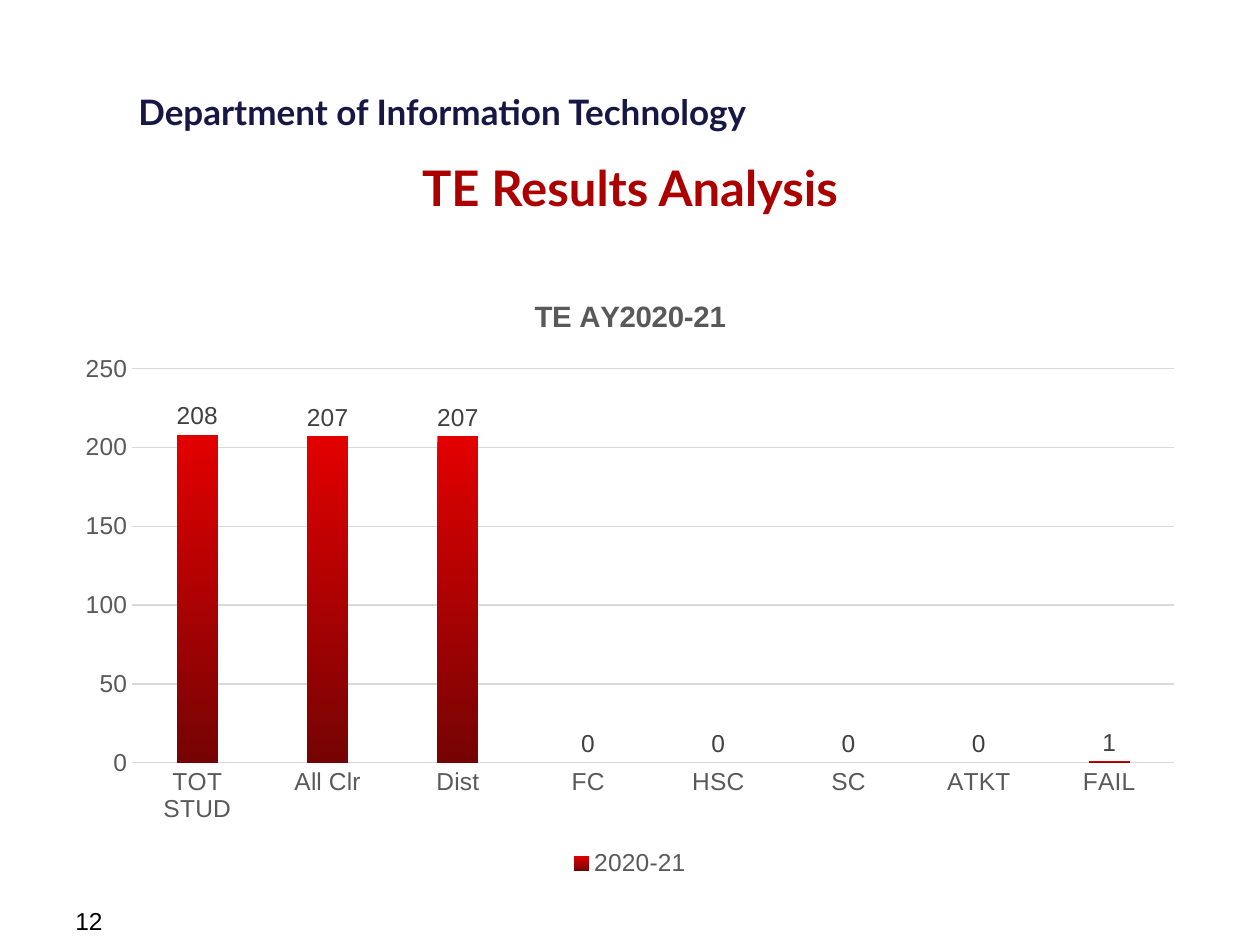
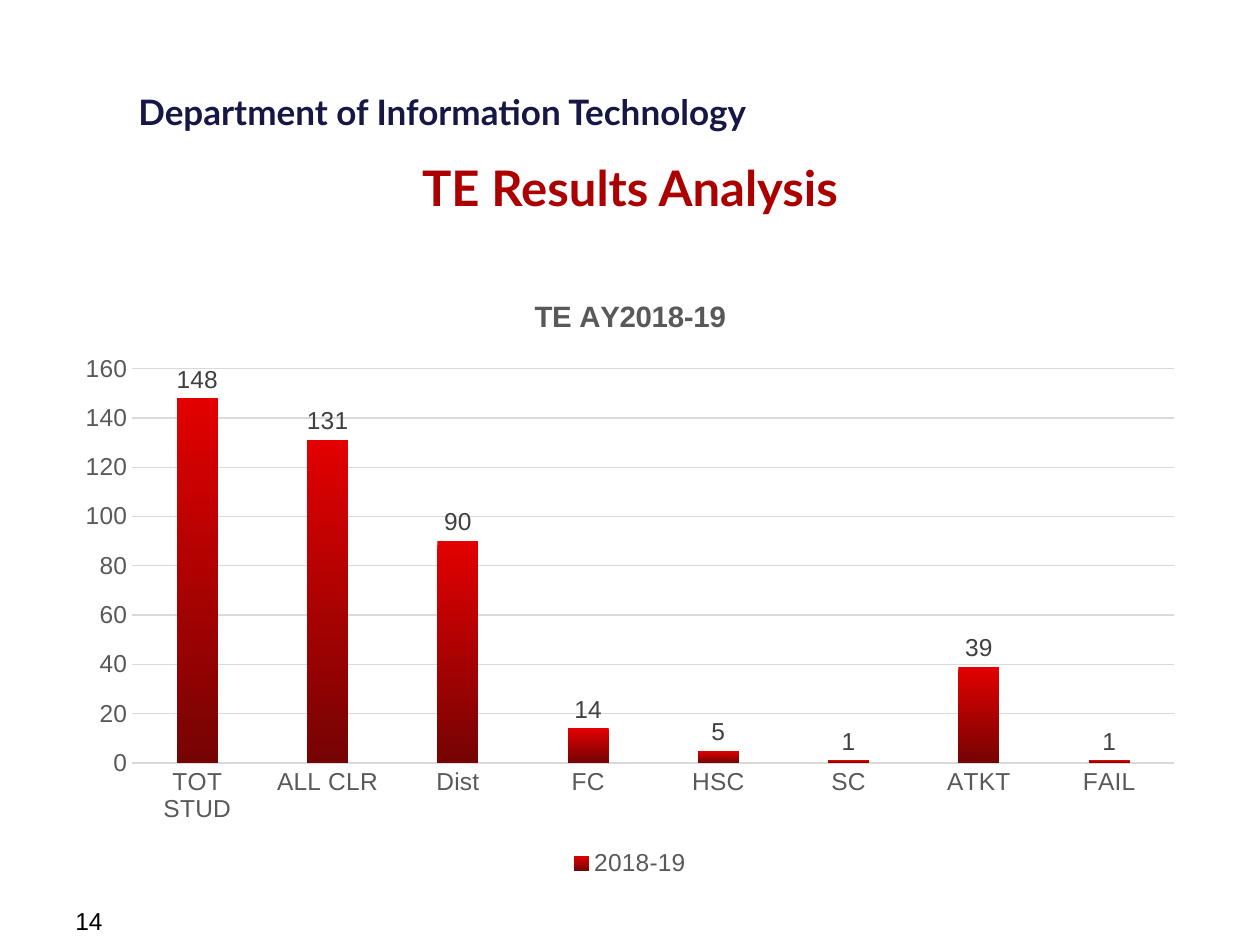
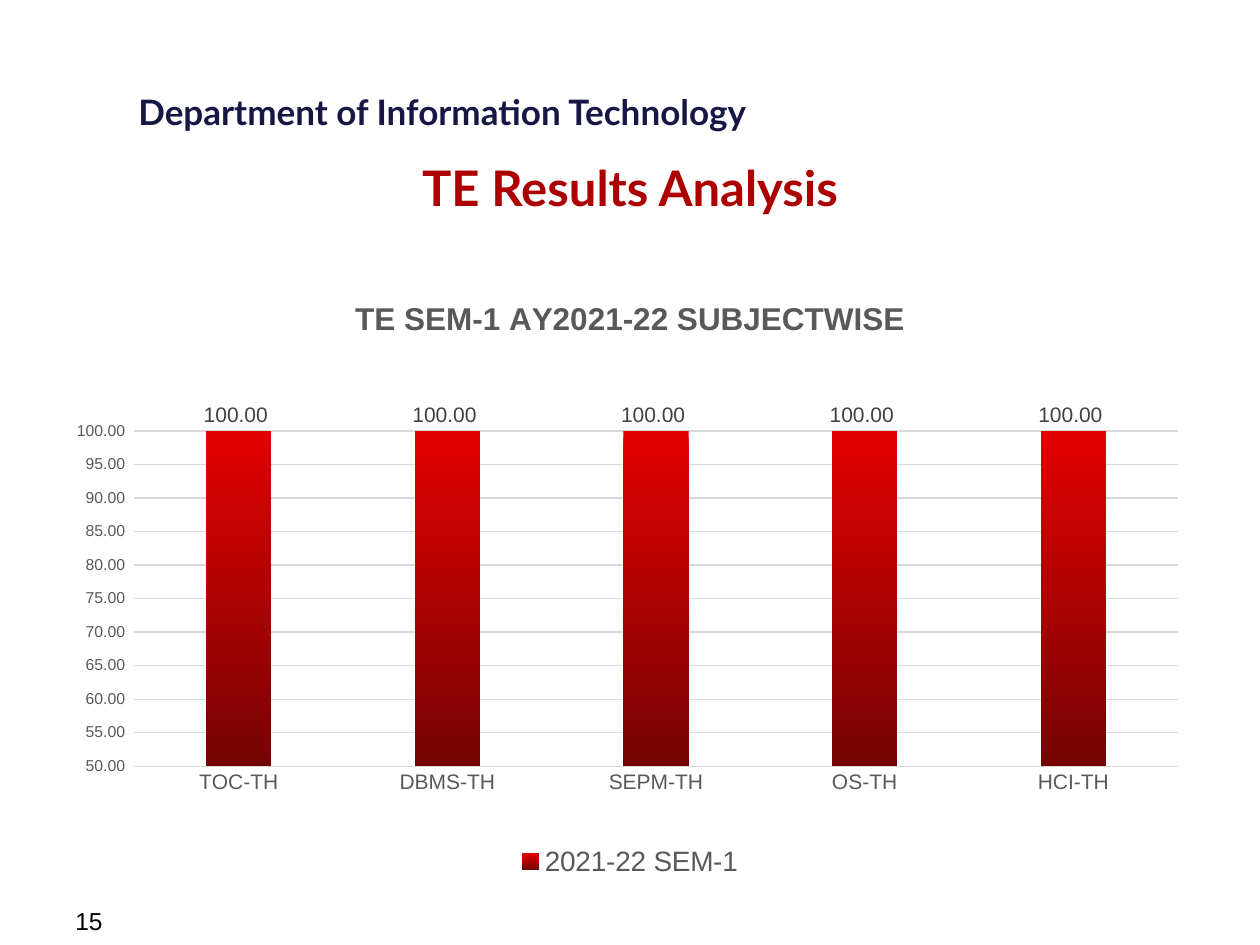
from dataclasses import dataclass

from lxml.etree import SubElement
from pptx import Presentation
from pptx.chart.data import CategoryChartData
from pptx.dml.color import RGBColor
from pptx.enum.chart import XL_CHART_TYPE, XL_LABEL_POSITION, XL_LEGEND_POSITION, XL_TICK_MARK
from pptx.enum.text import MSO_ANCHOR, MSO_AUTO_SIZE, PP_ALIGN
from pptx.oxml.ns import qn
from pptx.util import Cm, Pt


@dataclass(frozen=True)
class Theme:
    heading_font: str = "Lato"
    body_font: str = "Arial"
    department: str = "171745"
    title: str = "AC0000"
    text: str = "000000"
    axis: str = "595959"
    label: str = "404040"
    grid: str = "D9D9D9"
    bar_top: str = "E30000"
    bar_bottom: str = "760303"
    department_size: float = 20
    title_size: float = 28
    number_size: float = 14
    line_width: float = 0.75


@dataclass(frozen=True)
class Box:
    left: float
    top: float
    width: float
    height: float

    def lengths(self):
        return Cm(self.left), Cm(self.top), Cm(self.width), Cm(self.height)


@dataclass(frozen=True)
class ChartStyle:
    title: float = 16.8
    category: float = 14
    value: float = 14
    label: float = 14
    legend: float = 14
    number_format: str = "General"
    scale: tuple = None  # minimum, maximum, major unit
    plot: tuple = None  # x, y, w, h as fractions of the chart


THEME = Theme()
DEPARTMENT_BOX = Box(2.54, 1.7, 13.59, 1.12)
TITLE_BOX = Box(1.27, 3.05, 22.86, 1.22)
CHART_BOX = Box(1.27, 5.51, 22.86, 12.27)
NUMBER_BOX = Box(1.27, 18.14, 5.92, 0.69)

YEAR = ChartStyle()
SUBJECT = ChartStyle(title=18, category=12, value=9, label=12, legend=16,
                     number_format="0.00_ ", scale=(50, 100, 5),
                     plot=(0.063, 0.259, 0.92, 0.551))
GRADES = ["Dist", "FC", "HSC", "SC", "ATKT", "FAIL"]

# Page number, chart title, series name, categories, values, style
RESULTS = [
    (12, "TE AY2020-21", "2020-21", ["TOT STUD", "All Clr"] + GRADES,
     [208, 207, 207, 0, 0, 0, 0, 1], YEAR),
    (14, "TE AY2018-19", "2018-19", ["TOT STUD", "ALL CLR"] + GRADES,
     [148, 131, 90, 14, 5, 1, 39, 1], YEAR),
    (15, "TE SEM-1 AY2021-22 SUBJECTWISE", "2021-22 SEM-1",
     ["TOC-TH", "DBMS-TH", "SEPM-TH", "OS-TH", "HCI-TH"], [100] * 5, SUBJECT),
]


def style_font(font, name, size, color, bold=False):
    font.name = name
    font.size = Pt(size)
    font.bold = bold
    font.color.rgb = RGBColor.from_string(color)


def style_line(line, color):
    line.color.rgb = RGBColor.from_string(color)
    line.width = Pt(THEME.line_width)


def add_run(p, text, *font_style):
    r = p.add_run()
    r.text = text
    style_font(r.font, *font_style)


def add_department(s, box):
    tf = s.shapes.add_textbox(*box.lengths()).text_frame
    tf.word_wrap = False
    tf.auto_size = MSO_AUTO_SIZE.SHAPE_TO_FIT_TEXT
    add_run(tf.paragraphs[0], "Department of Information Technology",
            THEME.heading_font, THEME.department_size, THEME.department, True)


def set_title(s, box, text):
    sp = s.shapes.title
    sp.left, sp.top, sp.width, sp.height = box.lengths()
    tf = sp.text_frame
    tf.auto_size = MSO_AUTO_SIZE.NONE
    tf.vertical_anchor = MSO_ANCHOR.TOP
    p = tf.paragraphs[0]
    p.alignment = PP_ALIGN.CENTER
    add_run(p, text, THEME.heading_font, THEME.title_size, THEME.title, True)


def add_page_number(s, box, number):
    tf = s.shapes.add_textbox(*box.lengths()).text_frame
    tf.word_wrap = True
    add_run(tf.paragraphs[0], str(number), THEME.body_font, THEME.number_size, THEME.text)


def set_plot_layout(chart, fractions):
    plot_area = chart.plots[0]._element.getparent()
    layout = plot_area.find(qn("c:layout"))
    if layout is None:
        layout = SubElement(plot_area, qn("c:layout"))
        plot_area.insert(0, layout)
    manual = SubElement(layout, qn("c:manualLayout"))
    settings = [("layoutTarget", "inner"), ("xMode", "edge"), ("yMode", "edge")]
    for tag, value in settings + list(zip("xywh", fractions)):
        SubElement(manual, qn(f"c:{tag}")).set("val", str(value))


def style_axes(chart, style):
    category, value = chart.category_axis, chart.value_axis
    for axis, size in ((category, style.category), (value, style.value)):
        axis.major_tick_mark = axis.minor_tick_mark = XL_TICK_MARK.NONE
        style_font(axis.tick_labels.font, THEME.body_font, size, THEME.axis)
    style_line(category.format.line, THEME.grid)
    value.format.line.fill.background()
    value.has_major_gridlines = True
    style_line(value.major_gridlines.format.line, THEME.grid)
    value.tick_labels.number_format = style.number_format
    value.tick_labels.number_format_is_linked = False
    if style.scale:
        value.minimum_scale, value.maximum_scale, value.major_unit = style.scale


def style_bars(plot, style):
    plot.vary_by_categories = False
    plot.gap_width = 219
    plot.overlap = -27
    fill = plot.series[0].format.fill
    fill.gradient()
    fill.gradient_angle = 270
    for stop, color in zip(fill.gradient_stops, (THEME.bar_top, THEME.bar_bottom)):
        stop.color.rgb = RGBColor.from_string(color)

    labels = plot.series[0].data_labels
    labels.show_value = True
    labels.position = XL_LABEL_POSITION.OUTSIDE_END
    labels.number_format = style.number_format
    labels.number_format_is_linked = False
    style_font(labels.font, THEME.body_font, style.label, THEME.label)


def add_results_chart(s, box, title, series, categories, values, style):
    data = CategoryChartData(number_format=style.number_format)
    data.categories = categories
    data.add_series(series, values)
    chart = s.shapes.add_chart(XL_CHART_TYPE.COLUMN_CLUSTERED, *box.lengths(), data).chart
    style_font(chart.font, THEME.body_font, style.label, THEME.text)

    # Title and legend
    chart.has_title = True
    chart.chart_title.include_in_layout = False
    add_run(chart.chart_title.text_frame.paragraphs[0], title,
            THEME.body_font, style.title, THEME.axis, True)
    chart.has_legend = True
    chart.legend.position = XL_LEGEND_POSITION.BOTTOM
    chart.legend.include_in_layout = False
    style_font(chart.legend.font, THEME.body_font, style.legend, THEME.axis)

    # Plot
    style_axes(chart, style)
    style_bars(chart.plots[0], style)
    if style.plot:
        set_plot_layout(chart, style.plot)


def add_results_slide(prs, number, *chart_parts):
    s = prs.slides.add_slide(prs.slide_layouts[5])
    add_department(s, DEPARTMENT_BOX)
    set_title(s, TITLE_BOX, "TE Results Analysis")
    add_page_number(s, NUMBER_BOX, number)
    add_results_chart(s, CHART_BOX, *chart_parts)


def main():
    prs = Presentation()
    prs.slide_width, prs.slide_height = Cm(25.4), Cm(19.05)
    for result in RESULTS:
        add_results_slide(prs, *result)
    prs.save("out.pptx")


if __name__ == "__main__":
    main()
